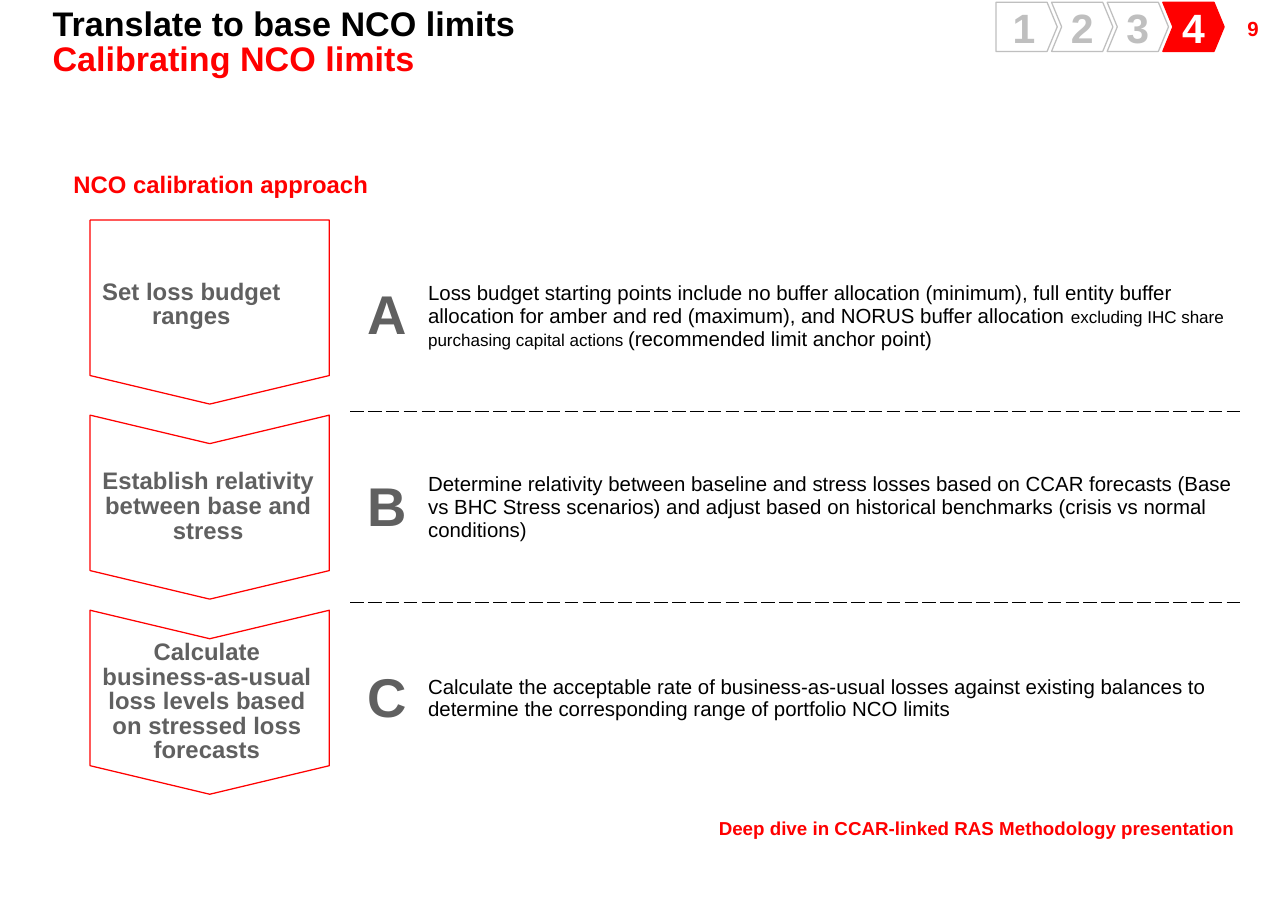
from pptx import Presentation
from pptx.dml.color import RGBColor
from pptx.enum.shapes import MSO_SHAPE as Preset
from pptx.enum.text import MSO_ANCHOR as Anchor, PP_ALIGN as Align
from pptx.oxml import parse_xml
from pptx.oxml.ns import nsdecls
from pptx.util import Pt

COLORS = {"red": "FF0000", "black": "000000", "white": "FFFFFF",
          "silver": "BFBFBF", "gray": "606060"}
TIGHT = 0.86


def rgb(name):
    return RGBColor.from_string(COLORS[name])


class SlideBuilder:
    font = "Arial"

    def __init__(self, slide):
        self.slide = slide

    def style(self, paragraph, size, color, bold=True, align=Align.LEFT, spacing=None):
        font = paragraph.font
        font.name, font.size, font.bold = self.font, Pt(size), bold
        font.color.rgb = rgb(color)
        paragraph.alignment = align
        if spacing:
            paragraph.line_spacing = spacing

    def text(self, box, lines, size, align=Align.LEFT, spacing=TIGHT, inset=None, wrap=True):
        frame = self.slide.shapes.add_textbox(*map(Pt, box)).text_frame
        frame.word_wrap = wrap
        if inset is not None:
            self.inset(frame, inset)
        for i, (words, color) in enumerate(lines):
            paragraph = frame.add_paragraph() if i else frame.paragraphs[0]
            paragraph.text = words
            self.style(paragraph, size, color, align=align, spacing=spacing)

    def inset(self, holder, points):
        holder.margin_left = holder.margin_right = Pt(points)
        holder.margin_top = holder.margin_bottom = Pt(points)

    def arrow(self, preset, box, adjust, words, size, fill, line, color,
              inset=0, spacing=None, down=False):
        shape = self.slide.shapes.add_shape(preset, *map(Pt, box))
        shape.shadow.inherit = False
        shape.adjustments[0] = adjust
        shape.fill.solid()
        shape.fill.fore_color.rgb = rgb(fill)
        shape.line.color.rgb = rgb(line)
        shape.line.width = Pt(0.75)
        frame = shape.text_frame
        frame.word_wrap = True
        frame.vertical_anchor = Anchor.MIDDLE
        self.inset(frame, inset)
        frame.text = words
        self.style(frame.paragraphs[0], size, color, align=Align.CENTER, spacing=spacing)
        if down:  # point the arrow down, keep its text upright
            shape.rotation = 90
            body = frame._txBody.bodyPr
            body.set("rot", "10800000")
            body.set("vert", "eaVert")

    def table(self, box, widths, rows):
        table = self.slide.shapes.add_table(rows, len(widths), *map(Pt, box)).table
        table.first_row = table.horz_banding = False
        for column, width in zip(table.columns, widths):
            column.width = Pt(width)
        for cell in table.iter_cells():
            cell.fill.background()
        return table

    def cell(self, cell, parts, size, color, bold=False, align=Align.LEFT):
        cell.vertical_anchor = Anchor.MIDDLE
        self.inset(cell, 2.9)
        paragraph = cell.text_frame.paragraphs[0]
        for words, part_size in parts:
            run = paragraph.add_run()
            run.text = words
            if part_size != size:
                run.font.size = Pt(part_size)
        self.style(paragraph, size, color, bold, align)
        paragraph.space_before = Pt(6)

    def dash(self, cell, side):
        border = parse_xml(
            f'<a:{side} {nsdecls("a")} w="12700"><a:solidFill>'
            f'<a:srgbClr val="{COLORS["black"]}"/></a:solidFill>'
            f'<a:prstDash val="dash"/></a:{side}>')
        properties = cell._tc.get_or_add_tcPr()
        position = sum(child.tag.endswith("}lnT") for child in properties)
        properties.insert(position, border)


deck = Presentation()
deck.slide_width, deck.slide_height = Pt(756), Pt(540)
build = SlideBuilder(deck.slides.add_slide(deck.slide_layouts[6]))

# Title and page number
build.text((673.9, 7.9, 72, 17.3), [("9", "red")], 12, align=Align.RIGHT)
build.text((23.8, 1.4, 702.7, 49), [("Translate to base NCO limits", "black"),
                                    ("Calibrating NCO limits", "red")], 20)

# Progress tracker
CURRENT = 4
for number in range(1, CURRENT + 1):
    active = number == CURRENT
    build.arrow(Preset.CHEVRON if number > 1 else Preset.PENTAGON,
                (584.6 + 32.65 * (number - 1), 1.4, 36, 28.8), 0.206, str(number), 24,
                fill="red" if active else "white",
                line="red" if active else "silver",
                color="white" if active else "silver")

# Explanations of the three steps
build.text((36, 98.6, 345.6, 21.6), [("NCO calibration approach", "red")], 14)
explanations = [
    [("Loss budget starting points include no buffer allocation (minimum), full entity "
      "buffer allocation for amber and red (maximum), and NORUS buffer allocation ", 12),
     ("excluding IHC share purchasing capital actions ", 10),
     ("(recommended limit anchor point)", 12)],
    [("Determine relativity between baseline and stress losses based on CCAR forecasts "
      "(Base vs BHC Stress scenarios) and adjust based on historical benchmarks "
      "(crisis vs normal conditions)", 12)],
    [("Calculate the acceptable rate of business-as-usual losses against existing balances "
      "to determine the corresponding range of portfolio NCO limits", 12)],
]
approach = build.table((36, 129.4, 691.2, 336.6), (169.9, 42.5, 478.8), len(explanations))
approach.cell(0, 0).merge(approach.cell(1, 0))
for row, (letter, explanation) in enumerate(zip("ABC", explanations)):
    build.cell(approach.cell(row, 1), [(letter, 32)], 32, "gray", True, Align.CENTER)
    build.cell(approach.cell(row, 2), explanation, 12, "black")
    for column in (1, 2):
        if row > 0:
            build.dash(approach.cell(row, column), "lnT")
        if row < len(explanations) - 1:
            build.dash(approach.cell(row, column), "lnB")

# Step arrows
steps = ["Set loss budget ranges",
         "Establish relativity between base and stress",
         "Calculate business-as-usual loss levels based on stressed loss forecasts"]
for i, step in enumerate(steps):
    build.arrow(Preset.CHEVRON if i else Preset.PENTAGON,
                (69.1, 113 + 114.5 * i, 108, 140.4), 0.155, step, 14,
                fill="white", line="red", color="gray",
                inset=7.2 if i else 3.6, spacing=TIGHT, down=True)

# Pointer to further material
build.text((421.9, 479.5, 305.3, 13.7),
           [("Deep dive in CCAR-linked RAS Methodology presentation", "red")],
           11, spacing=None, inset=0, wrap=False)

deck.save("out.pptx")
